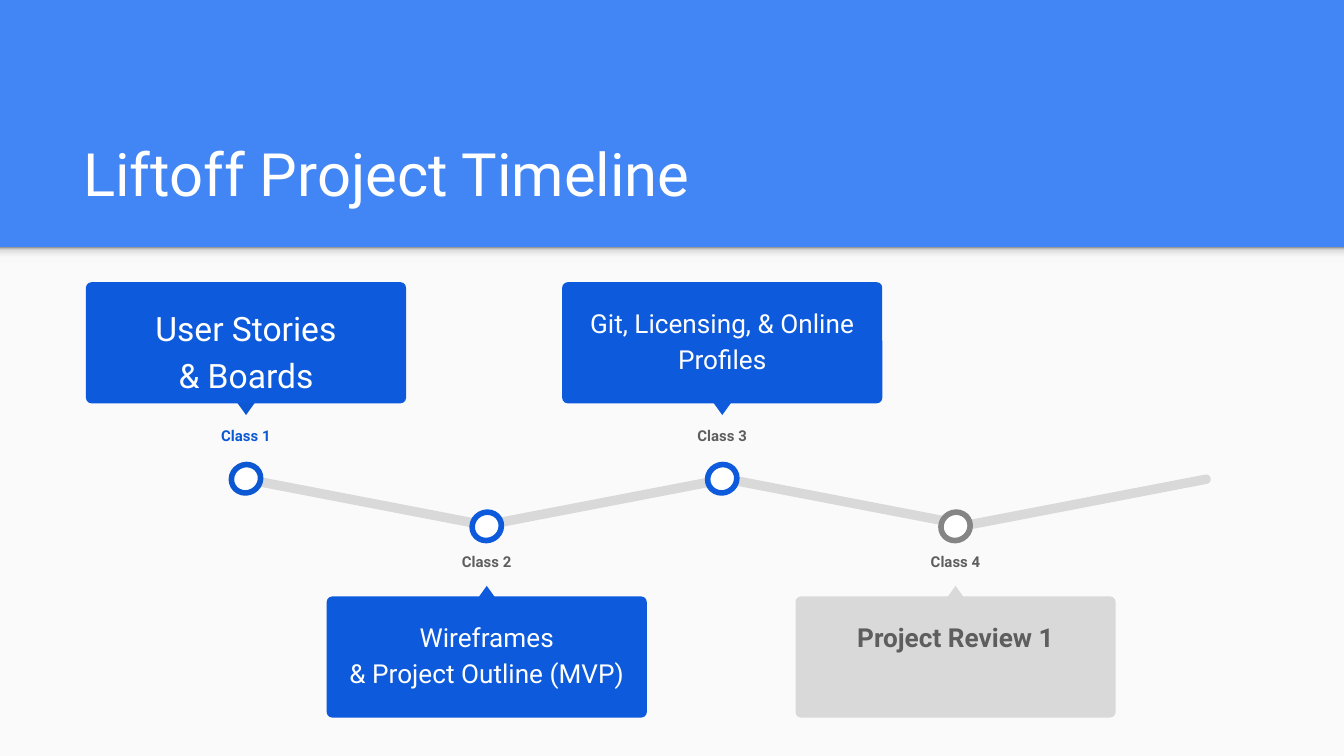
"""Build a project timeline slide with four class milestones on a zigzag track."""
import copy
import dataclasses
from typing import Any, Optional

import pptx
import pptx.dml.color
import pptx.enum.shapes
import pptx.enum.text
import pptx.oxml.ns
import pptx.util

Cm = pptx.util.Cm
Pt = pptx.util.Pt
Shapes = pptx.enum.shapes.MSO_SHAPE
Anchor = pptx.enum.text.MSO_ANCHOR
Align = pptx.enum.text.PP_ALIGN
qn = pptx.oxml.ns.qn


@dataclasses.dataclass(frozen=True)
class Theme:
    banner: str = "4285F4"
    panel: str = "FAFAFA"
    white: str = "FFFFFF"
    blue: str = "0D5BDC"
    deep_blue: str = "0C58D3"
    gray: str = "D9D9D9"
    ring_gray: str = "858585"
    text_gray: str = "5E5E5E"
    shadow: tuple = ((0, "F9F9F9"), (0.36, "F9F9F9"), (0.8, "DEDEDE"), (1, "999999"))
    font: str = "Roboto"
    title_size: int = 32
    large_size: int = 18
    card_size: int = 14
    label_size: int = 8
    ring_width: int = 3


@dataclasses.dataclass(frozen=True)
class Level:
    ring: float
    label: float
    tip: float
    card: float
    tip_turn: int


@dataclasses.dataclass(frozen=True)
class Milestone:
    label: str
    text: str
    center: float
    level: Level
    card_color: str = "0D5BDC"
    accent: str = "0D5BDC"
    ring_color: str = "0D5BDC"
    label_color: str = "5E5E5E"
    text_color: str = "FFFFFF"
    text_size: int = 14
    bold: bool = False


THEME = Theme()
UPPER = Level(ring=9.05, label=8.27, tip=7.73, card=6.48, tip_turn=180)
LOWER = Level(ring=9.95, label=10.65, tip=11.19, card=12.42, tip_turn=0)
MILESTONES = (
    Milestone("Class 1", "User Stories\v& Boards", 4.65, UPPER, accent=THEME.deep_blue,
              ring_color=THEME.deep_blue, label_color=THEME.deep_blue,
              text_size=THEME.large_size),
    Milestone("Class 2", "Wireframes\v& Project Outline (MVP)", 9.2, LOWER),
    Milestone("Class 3", "Git, Licensing, & Online Profiles", 13.65, UPPER),
    Milestone("Class 4", "Project Review 1", 18.06, LOWER, card_color=THEME.gray,
              accent=THEME.gray, ring_color=THEME.ring_gray,
              text_color=THEME.text_gray, bold=True),
)
TRACK_START, TRACK_PITCH, TRACK_Y, TRACK_TILT = 6.9, 4.55, 9.49, 10.9


def rgb(value: str) -> pptx.dml.color.RGBColor:
    return pptx.dml.color.RGBColor.from_string(value)


def apply(target: Any, values: dict) -> None:
    for name, value in values.items():
        setattr(target, name, value)


def centered(x: float, y: float, width: float, height: float) -> tuple:
    return tuple(Cm(v) for v in (x - width / 2, y - height / 2, width, height))


def add_solid(page: Any, kind: Any, frame: tuple, color: str, turn: float = 0,
              round_by: Optional[float] = None, outline: Optional[str] = None) -> Any:
    shape = page.shapes.add_shape(kind, *frame)
    shape.shadow.inherit = False
    shape.rotation = turn
    shape.fill.solid()
    shape.fill.fore_color.rgb = rgb(color)
    if round_by is not None:
        shape.adjustments[0] = round_by
    if outline:
        shape.line.color.rgb = rgb(outline)
        shape.line.width = Pt(THEME.ring_width)
    else:
        shape.line.fill.background()
    return shape


def add_text(page: Any, frame: tuple, text: str, size: int, color: str,
             bold: bool = False, anchor: Any = Anchor.TOP,
             layout: Optional[dict] = None) -> None:
    box = page.shapes.add_textbox(*frame).text_frame
    inset = Cm(0.25)
    apply(box, {"word_wrap": True, "vertical_anchor": anchor, "margin_left": inset,
                "margin_right": inset, "margin_top": inset, "margin_bottom": inset})
    para = box.paragraphs[0]
    para.text = text
    apply(para, layout or {})
    for span in para.runs:
        apply(span.font, {"name": THEME.font, "size": Pt(size), "bold": bold})
        span.font.color.rgb = rgb(color)
    for line_break in para._p.findall(qn("a:br")):
        line_break.append(copy.deepcopy(para.runs[0]._r.find(qn("a:rPr"))))


def add_panel(page: Any) -> None:
    add_solid(page, Shapes.RECTANGLE, (0, Cm(4.67), Cm(25.4), Cm(9.62)), THEME.panel)
    edge = add_solid(page, Shapes.RECTANGLE, (0, Cm(4.67), Cm(25.4), Cm(0.3)), THEME.panel)
    edge.fill.gradient()
    edge.fill.gradient_angle = 90
    stops = edge._element.spPr.find(".//" + qn("a:gsLst"))
    while len(stops) < len(THEME.shadow):
        stops.append(copy.deepcopy(stops[0]))
    for stop, (position, color) in zip(edge.fill.gradient_stops, THEME.shadow):
        stop.position = position
        stop.color.rgb = rgb(color)


def add_track(page: Any) -> None:
    for index in range(len(MILESTONES)):
        frame = centered(TRACK_START + index * TRACK_PITCH, TRACK_Y, 4.75, 0.18)
        turn = TRACK_TILT if index % 2 == 0 else 360 - TRACK_TILT
        add_solid(page, Shapes.ROUNDED_RECTANGLE, frame, THEME.gray, turn, 0.5)


def add_milestone(page: Any, item: Milestone) -> None:
    x, level = item.center, item.level
    layout = {"alignment": Align.CENTER, "line_spacing": 1.15, "space_after": Pt(16)}
    add_solid(page, Shapes.OVAL, centered(x, level.ring, 0.56, 0.53), THEME.white,
              330.2, outline=item.ring_color)
    add_text(page, centered(x, level.label, 2.46, 0.89), item.label, THEME.label_size,
             item.label_color, True, layout=layout)
    add_solid(page, Shapes.ROUNDED_RECTANGLE, centered(x, level.card, 6.05, 2.29),
              item.card_color, round_by=0.045)
    add_solid(page, Shapes.ISOSCELES_TRIANGLE, centered(x, level.tip, 0.33, 0.23),
              item.accent, level.tip_turn)
    add_text(page, centered(x, level.card, 5.74, 2.03), item.text, item.text_size,
             item.text_color, item.bold, layout=layout)


def main() -> None:
    deck = pptx.Presentation()
    apply(deck, {"slide_width": Cm(25.4), "slide_height": Cm(14.29)})
    page = deck.slides.add_slide(deck.slide_layouts[6])
    page.background.fill.solid()
    page.background.fill.fore_color.rgb = rgb(THEME.banner)
    add_panel(page)
    add_text(page, (Cm(1.32), Cm(2.06), Cm(22.83), Cm(2.13)), "Liftoff Project Timeline",
             THEME.title_size, THEME.white, anchor=Anchor.BOTTOM)
    add_track(page)
    for item in MILESTONES:
        add_milestone(page, item)
    deck.save("out.pptx")


if __name__ == "__main__":
    main()
